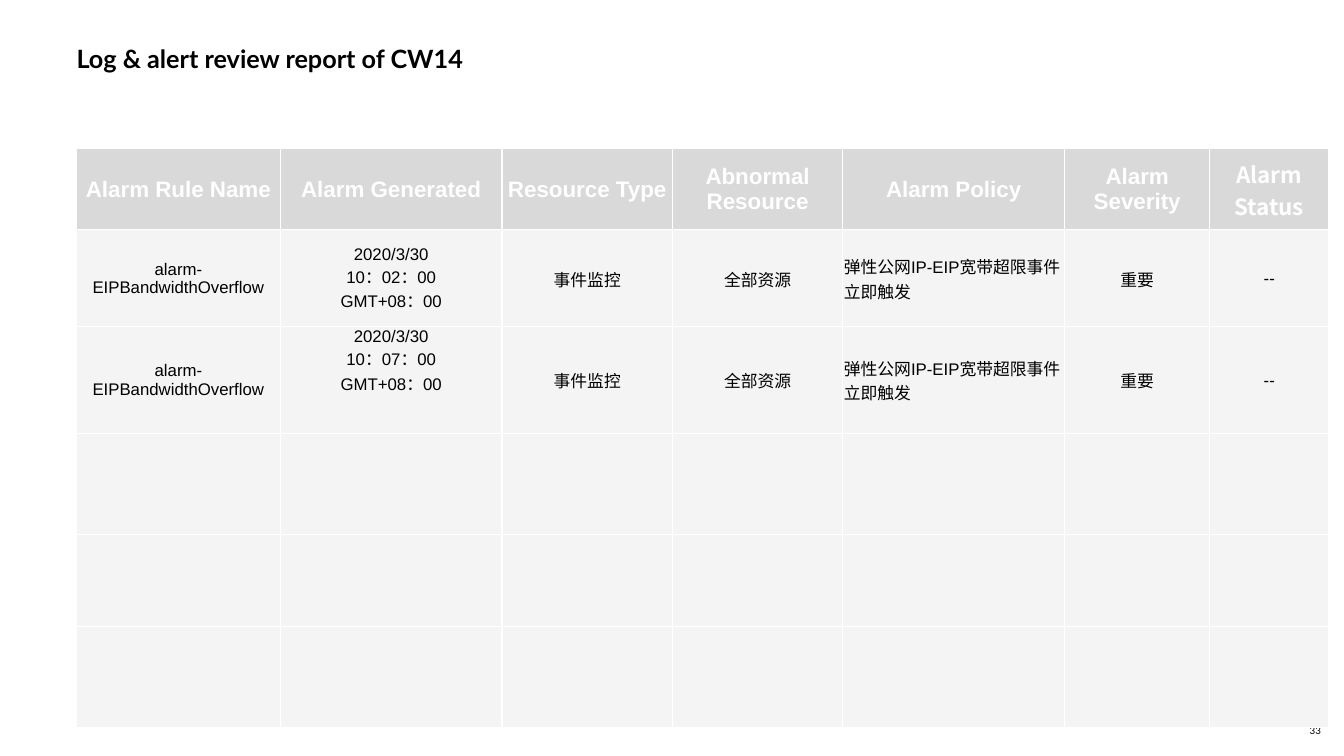
from dataclasses import dataclass

from lxml.etree import SubElement
from pptx import Presentation
from pptx.dml.color import RGBColor
from pptx.enum.text import MSO_ANCHOR, PP_ALIGN
from pptx.oxml.ns import qn
from pptx.util import Inches, Pt

PX = Inches(1) // 100  # one px is a hundredth of an inch


@dataclass(frozen=True)
class Theme:
    ink: str = "000000"
    white: str = "FFFFFF"
    header_fill: str = "D9D9D9"
    body_fill: str = "F4F4F4"
    title_font: str = "Lato"
    table_font: str = "Arial"
    chinese_font: str = "Noto Sans CJK SC"
    title_size: int = 18
    header_size: int = 16
    body_size: int = 12
    number_size: int = 7
    border_width: int = 1


class ReportSlide:
    def __init__(self, deck, theme):
        self.theme = theme
        self.slide = deck.slides.add_slide(deck.slide_layouts[6])

    def style(self, para, size, color, font, bold=False):
        for span in para.runs:
            span.font.size = Pt(size)
            span.font.bold = bold
            span.font.name = font
            span.font.color.rgb = RGBColor.from_string(color)
            east_asian = SubElement(span.font._element, qn("a:ea"))
            east_asian.set("typeface", self.theme.chinese_font)

    def text(self, left, top, width, height, words, size, bold=False,
             anchor=MSO_ANCHOR.TOP, spacing=1.0):
        box = self.slide.shapes.add_textbox(
            left * PX, top * PX, width * PX, height * PX)
        frame = box.text_frame
        frame.word_wrap = True
        frame.vertical_anchor = anchor
        frame.margin_left = frame.margin_right = 0
        frame.margin_top = frame.margin_bottom = 0
        frame.text = words
        para = frame.paragraphs[0]
        para.line_spacing = spacing
        self.style(para, size, self.theme.ink, self.theme.title_font, bold)

    def borders(self, cell):
        properties = cell._tc.get_or_add_tcPr()
        for side in ("lnL", "lnR", "lnT", "lnB"):
            line = SubElement(properties, qn(f"a:{side}"))
            line.set("w", str(Pt(self.theme.border_width)))
            fill = SubElement(line, qn("a:solidFill"))
            SubElement(fill, qn("a:srgbClr")).set("val", self.theme.white)

    def cell(self, cell, words, header, font, align, anchor):
        theme = self.theme
        self.borders(cell)
        cell.fill.solid()
        cell.fill.fore_color.rgb = RGBColor.from_string(
            theme.header_fill if header else theme.body_fill)
        cell.margin_left = cell.margin_right = cell.margin_top = PX
        cell.margin_bottom = 0
        cell.vertical_anchor = anchor
        cell.text_frame.text = words
        size = theme.header_size if header else theme.body_size
        color = theme.white if header else theme.ink
        for para in cell.text_frame.paragraphs:
            para.alignment = align
            self.style(para, size, color, font, bold=header)

    def table(self, left, top, widths, heights, records):
        table = self.slide.shapes.add_table(
            len(heights), len(widths), left * PX, top * PX,
            sum(widths) * PX, sum(heights) * PX).table
        for column, width in zip(table.columns, widths):
            column.width = width * PX
        for row, height in zip(table.rows, heights):
            row.height = height * PX
        for row in range(len(heights)):
            for column in range(len(widths)):
                header = row == 0
                words = records[row][column] if row < len(records) else ""
                policy = column == POLICY_COLUMN and not header
                # The last header and the second alarm time are set apart
                chinese = header and column == len(widths) - 1
                raised = (row, column) == RAISED_CELL
                self.cell(
                    table.cell(row, column), words, header,
                    self.theme.chinese_font if chinese else self.theme.table_font,
                    PP_ALIGN.LEFT if policy else PP_ALIGN.CENTER,
                    MSO_ANCHOR.TOP if raised else MSO_ANCHOR.MIDDLE)


POLICY_COLUMN = 4
RAISED_CELL = (2, 1)
COLUMN_WIDTHS = [202, 220, 169, 169, 220, 144, 118]
ROW_HEIGHTS = [81, 96, 106, 100, 92, 100]
HEADERS = ["Alarm Rule Name", "Alarm Generated", "Resource Type",
           "Abnormal Resource", "Alarm Policy", "Alarm Severity", "Alarm Status"]
ALARM_TIMES = ["10：02：00", "10：07：00"]


def alarm(time):
    return ["alarm-EIPBandwidthOverflow", f"2020/3/30\n{time}\nGMT+08：00",
            "事件监控", "全部资源", "弹性公网IP-EIP宽带超限事件\n立即触发",
            "重要", "--"]


def main():
    deck = Presentation()
    deck.slide_width, deck.slide_height = 1333 * PX, 750 * PX
    theme = Theme()
    page = ReportSlide(deck, theme)

    # Page number and title
    page.text(1299, 716, 34, 17, "33", theme.number_size,
              anchor=MSO_ANCHOR.MIDDLE)
    page.text(76, 40, 1240, 67, "Log & alert review report of CW14",
              theme.title_size, bold=True, spacing=1.1)

    # Alarm table
    page.table(76, 147, COLUMN_WIDTHS, ROW_HEIGHTS,
               [HEADERS] + [alarm(time) for time in ALARM_TIMES])

    deck.save("out.pptx")


if __name__ == "__main__":
    main()
